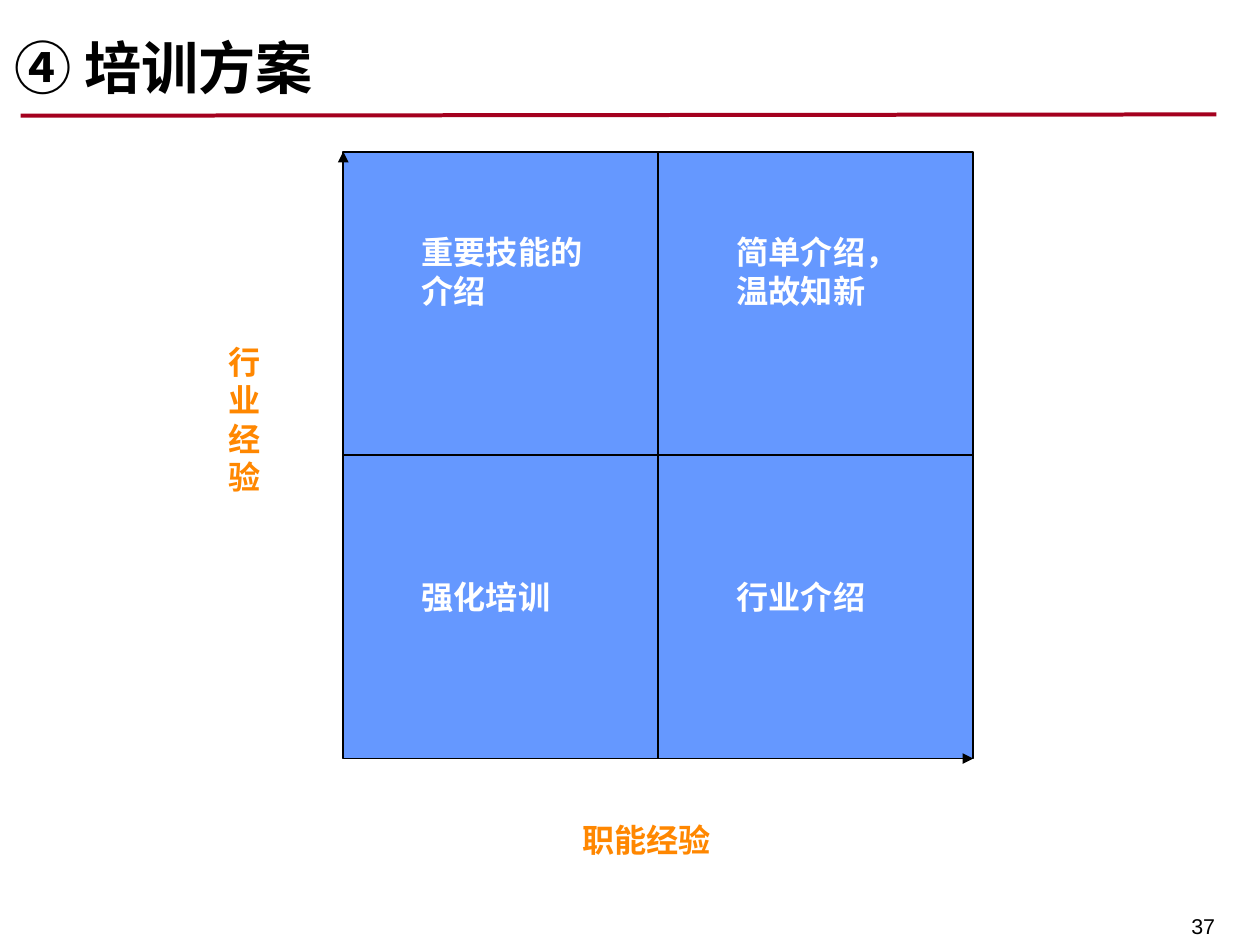
from pptx import Presentation
from pptx.dml.color import RGBColor
from pptx.enum.shapes import MSO_CONNECTOR, MSO_SHAPE
from pptx.enum.text import PP_ALIGN
from pptx.oxml.ns import qn
from pptx.util import Inches, Pt
from lxml import etree

STRAIGHT = MSO_CONNECTOR.STRAIGHT
RECTANGLE = MSO_SHAPE.RECTANGLE
LEFT, RIGHT = PP_ALIGN.LEFT, PP_ALIGN.RIGHT

WIDTH, HEIGHT = 9.8, 7.35
BLACK, WHITE, ORANGE, BLUE, RED = "000000", "FFFFFF", "FF8700", "6598FF", "A4001E"

TITLE = "④ 培训方案"
VERTICAL_AXIS = "行业经验"
HORIZONTAL_AXIS = "职能经验"
PAGE_NUMBER = "37"
QUADRANTS = [
    ["重要技能的介绍", "简单介绍，温故知新"],
    ["强化培训", "行业介绍"],
]

GRID_LEFT, GRID_TOP = 2.67, 1.18
CELL_WIDTH, CELL_HEIGHT = 2.45, 2.36
GRID_RIGHT = GRID_LEFT + 2 * CELL_WIDTH
GRID_BOTTOM = GRID_TOP + 2 * CELL_HEIGHT
LABEL_INSET = 0.61
LABEL_OFFSETS = [0.63, 0.95]
LABEL_WIDTH, LINE_HEIGHT = 1.36, 0.3


def color(value):
    """Turn a hex string into a colour."""
    return RGBColor.from_string(value)


def add_text(page, text, left, top, width, height, size, fill,
             bold=True, align=LEFT, margins=(0, 0)):
    """Add a wrapped text box with one paragraph."""
    box = page.shapes.add_textbox(Inches(left), Inches(top), Inches(width), Inches(height))
    frame = box.text_frame
    frame.word_wrap = True
    frame.margin_left = frame.margin_right = Inches(margins[0])
    frame.margin_top = frame.margin_bottom = Inches(margins[1])
    para = frame.paragraphs[0]
    para.text = text
    para.alignment = align
    para.font.name = "Arial"
    para.font.size = Pt(size)
    para.font.bold = bold
    para.font.color.rgb = color(fill)


def add_line(page, start, end, stroke, weight, arrow=False):
    """Add a straight line, with an arrowhead at its end if asked."""
    line = page.shapes.add_connector(STRAIGHT, *(Inches(value) for value in start + end))
    line.line.color.rgb = color(stroke)
    line.line.width = Pt(weight)
    properties = line.line._get_or_add_ln()
    if arrow:
        etree.SubElement(properties, qn("a:tailEnd"), type="triangle")
    etree.SubElement(properties.getparent(), qn("a:effectLst"))


def add_cell(page, left, top):
    """Add one quadrant of the matrix."""
    cell = page.shapes.add_shape(RECTANGLE, Inches(left), Inches(top),
                                 Inches(CELL_WIDTH), Inches(CELL_HEIGHT))
    cell.shadow.inherit = False
    cell.fill.solid()
    cell.fill.fore_color.rgb = color(BLUE)
    cell.line.color.rgb = color(BLACK)
    cell.line.width = Pt(1)


def main():
    """Build the training matrix slide."""
    deck = Presentation()
    deck.slide_width, deck.slide_height = Inches(WIDTH), Inches(HEIGHT)
    page = deck.slides.add_slide(deck.slide_layouts[6])

    add_line(page, (0.16, 0.9), (9.46, 0.89), RED, 2.25)
    add_text(page, TITLE, 0.11, 0.25, 9.51, 0.53, 32, BLACK)
    add_text(page, VERTICAL_AXIS, 1.78, 2.66, 0.37, 4 * LINE_HEIGHT, 18, ORANGE)

    for row, labels in enumerate(QUADRANTS):
        for column, label in enumerate(labels):
            left = GRID_LEFT + column * CELL_WIDTH
            top = GRID_TOP + row * CELL_HEIGHT
            add_cell(page, left, top)
            add_text(page, label, left + LABEL_INSET, top + LABEL_OFFSETS[row],
                     LABEL_WIDTH, (2 - row) * LINE_HEIGHT, 18, WHITE)

    add_line(page, (GRID_LEFT, 2.54), (GRID_LEFT, GRID_TOP), BLACK, 1, arrow=True)
    add_line(page, (5.99, GRID_BOTTOM), (GRID_RIGHT, GRID_BOTTOM), BLACK, 1, arrow=True)
    add_text(page, HORIZONTAL_AXIS, 4.53, 6.38, LABEL_WIDTH, LINE_HEIGHT, 18, ORANGE)
    add_text(page, PAGE_NUMBER, 7.51, 7.05, 2.04, 0.3, 12, BLACK,
             bold=False, align=RIGHT, margins=(0.1, 0.05))

    deck.save("out.pptx")


if __name__ == "__main__":
    main()
